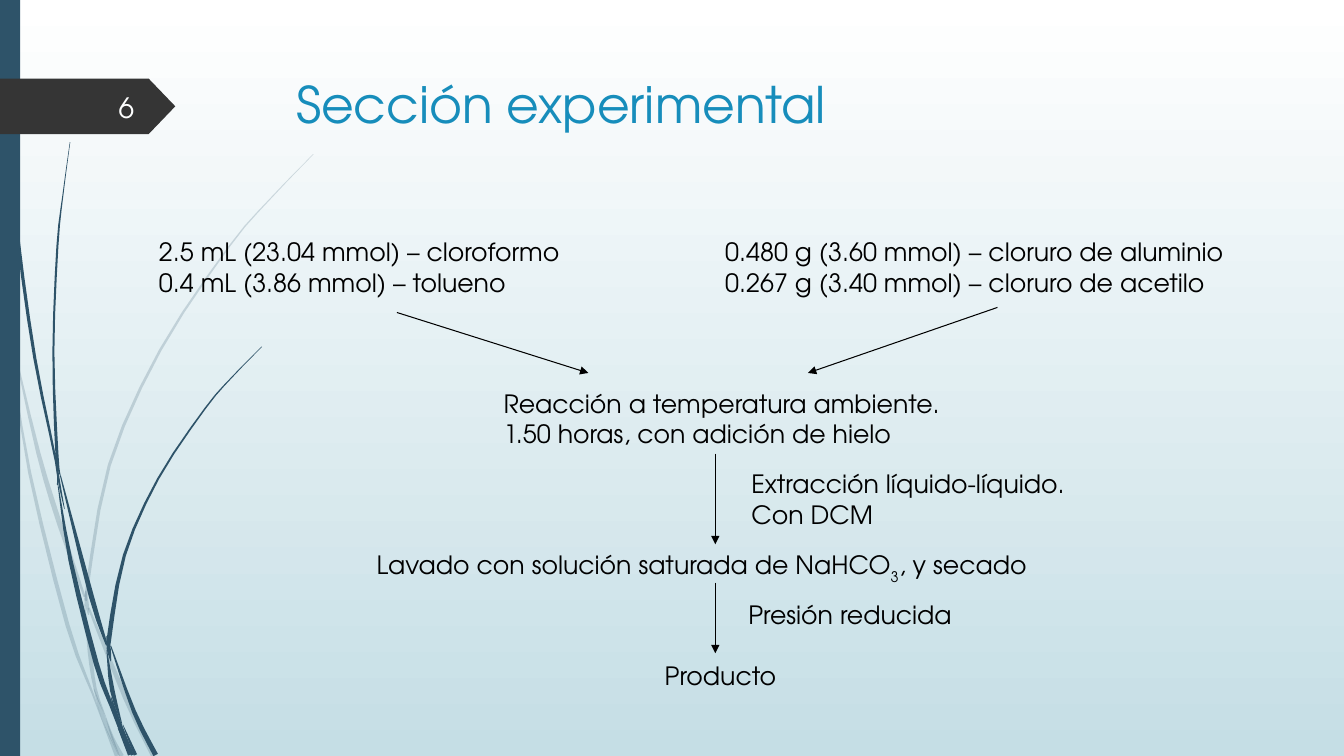
from dataclasses import dataclass
from math import hypot

from lxml.etree import SubElement
from pptx import Presentation
from pptx.dml.color import RGBColor as Rgb
from pptx.enum.shapes import MSO_CONNECTOR as Connector, MSO_SHAPE as Shape
from pptx.enum.text import MSO_ANCHOR as Anchor, PP_ALIGN as Align
from pptx.oxml.ns import qn
from pptx.util import Inches, Pt


@dataclass(frozen=True)
class Theme:
    font: str = "TeX Gyre Adventor"
    title_size: int = 36
    number_size: int = 20
    body_size: int = 18
    title: str = "178DBB"
    ink: str = "000000"
    number: str = "FEFFFF"
    tag: str = "353535"
    stem: str = "2E5369"
    sky_top: str = "FFFFFF"
    sky_bottom: str = "C5DEE5"
    arrow_width: float = 0.75


CELL = Inches(0.1)  # one column or row of the layout grid
COLUMNS, ROWS = 133.4, 75
SUBSCRIPT = -33000
FAINT = 20000
SMOOTHNESS = 3  # outline steps between two stations of a stem

# Stem pieces: stations along the centre line as (column, row, thickness)
FAINT_STEMS = [
    [(0.1, 28.5, 0.1), (0.55, 31.8, 0.3), (1.05, 35, 0.1)],
    [(1.4, 34.5, 0.1), (3.8, 44.9, 0.4), (5.95, 52.05, 0.5), (8.4, 59.2, 0.2)],
    [(8.8, 60.3, 0.2), (12.45, 69.2, 0.5), (15.25, 75, 0.5)],
    [(10.5, 71.1, 0.05), (11.2, 73.2, 0.25), (12.1, 75, 0.4)],
    [(1.1, 35, 0.05), (2.95, 46.9, 0.3), (6.7, 62, 0.4), (9.2, 68.8, 0.2),
     (10.1, 71.4, 0.05)],
    [(8.4, 59.9, 0.05), (8.9, 64.55, 0.4), (9.45, 68.3, 0.3), (10.5, 71.1, 0.05)],
    [(31.1, 15.3, 0.05), (26.8, 19.75, 0.1), (22.75, 24.45, 0.15),
     (15.9, 34.75, 0.25), (10.85, 46.15, 0.3), (8.65, 58.3, 0.3), (8.65, 59.5, 0.1)],
    [(10.1, 71.4, 0.05), (11.6, 75, 0.4)],
    [(8.5, 58.6, 0.1), (8.6, 59.8, 0.4), (8.8, 61, 0.1)],
    [(9.3, 68.3, 0.05), (10.3, 71.3, 0.4), (11.85, 75, 0.1)],
]
DARK_STEMS = [
    [(0.3, 0, 0.05), (0.75, 11, 0.1), (1.75, 23.3, 0.3), (3.45, 35.5, 0.3),
     (5.55, 45.8, 0.2), (5.7, 48.1, 0.1)],
    [(6, 47.2, 0.1), (9.05, 59.1, 0.5), (10.6, 64, 0.2)],
    [(11, 64.1, 0.1), (13.3, 70.6, 0.4), (15.45, 74.9, 0.5)],
    [(5.7, 47.7, 0.05), (7, 55.6, 0.4), (9.55, 65.8, 0.5), (11.05, 70, 0.35),
     (11.7, 72.1, 0.05)],
    [(6.95, 14.1, 0.05), (6.25, 19.3, 0.1), (5.7, 24.4, 0.2),
     (5.3, 34.9, 0.2), (5.65, 45, 0.3), (6, 47.2, 0.05)],
    [(12.2, 71.9, 0.05), (13.45, 74.9, 0.35)],
    [(5.5, 44.9, 0.05), (5.85, 47.7, 0.2), (6.4, 50.5, 0.05)],
    [(26, 34.4, 0.05), (23.1, 37.35, 0.1), (20.35, 40.55, 0.15),
     (15.7, 47.5, 0.2), (12.35, 55.1, 0.3), (10.85, 63.2, 0.45), (11, 64.1, 0.1)],
    [(11.7, 72.2, 0.05), (12.85, 74.9, 0.3)],
    [(10.6, 64.5, 0.05), (11.15, 68.5, 0.45), (12.1, 71.8, 0.05)],
    [(10.6, 63.1, 0.05), (10.8, 64.4, 0.4), (11, 65.6, 0.05)],
    [(11, 69.1, 0.05), (12, 72.3, 0.5), (13.15, 74.9, 0.3)],
]

# Text blocks: column, row, width, height, lines of (text, baseline) runs
PROCEDURE = [
    (14.8, 23, 44.7, 7, [[("2.5 mL (23.04 mmol) – cloroformo", 0)],
                         [("0.4 mL (3.86 mmol) – tolueno", 0)]]),
    (71, 23, 54.8, 7, [[("0.480 g (3.60 mmol) – cloruro de aluminio", 0)],
                       [("0.267 g (3.40 mmol) – cloruro de acetilo", 0)]]),
    (49, 38, 45.6, 7, [[("Reacción a temperatura ambiente.", 0)],
                       [("1.50 horas, con adición de hielo", 0)]]),
    (73.6, 46, 34.4, 7, [[("Extracción líquido-líquido.", 0)],
                         [("Con DCM", 0)]]),
    (36.4, 54, 70.6, 7.6, [[("Lavado con solución saturada de NaHCO", 0),
                            ("3", SUBSCRIPT), (", y secado", 0)]]),
    (73.3, 59, 22.7, 4, [[("Presión reducida", 0)]]),
    (65, 65, 13.4, 4, [[("Producto", 0)]]),
]
ARROWS = [
    (39.4, 31, 58.4, 37),
    (99, 30.5, 80.2, 37),
    (71, 45, 71, 54),
    (71, 57.8, 71, 64.8),
]


def cells(*counts):
    return [round(count * CELL) for count in counts]


def stem_outline(stations):
    """Smooth the centre line and offset it to both sides."""
    padded = [stations[0], *stations, stations[-1]]
    shares = [step / SMOOTHNESS for step in range(SMOOTHNESS + 1)]
    left, right = [], []
    for index, (a, b, c, d) in enumerate(
            zip(padded, padded[1:], padded[2:], padded[3:])):
        for t in shares[min(index, 1):]:
            weights = (-t + 2*t**2 - t**3, 2 - 5*t**2 + 3*t**3,
                       t + 4*t**2 - 3*t**3, t**3 - t**2)
            slopes = (-1 + 4*t - 3*t**2, -10*t + 9*t**2,
                      1 + 8*t - 9*t**2, 3*t**2 - 2*t)
            x, y, thickness = (sum(w * v for w, v in zip(weights, values)) / 2
                               for values in zip(a, b, c, d))
            dx, dy, _ = (sum(s * v for s, v in zip(slopes, values))
                         for values in zip(a, b, c, d))
            reach = thickness / 2 / hypot(dx, dy)
            left.append(cells(x - dy * reach, y + dx * reach))
            right.append(cells(x + dy * reach, y - dx * reach))
    return left + right[::-1]


class SlideBuilder:
    def __init__(self, slide, theme):
        self.slide, self.theme = slide, theme

    def background(self):
        fill = self.slide.background.fill
        fill.gradient()
        fill.gradient_angle = 270
        colors = (self.theme.sky_top, self.theme.sky_bottom)
        for stop, color in zip(fill.gradient_stops, colors):
            stop.color.rgb = Rgb.from_string(color)

    def paint(self, shape, color, alpha=None):
        shape.shadow.inherit = False
        shape.fill.solid()
        shape.fill.fore_color.rgb = Rgb.from_string(color)
        shape.line.fill.background()
        if alpha:
            solid = shape._element.spPr.find(qn("a:solidFill"))
            SubElement(solid[0], qn("a:alpha"), val=str(alpha))

    def stem(self, stations, alpha=None):
        start, *rest = stem_outline(stations)
        builder = self.slide.shapes.build_freeform(*start)
        builder.add_line_segments(rest, close=True)
        self.paint(builder.convert_to_shape(), self.theme.stem, alpha)

    def block(self, kind, box, color):
        shape = self.slide.shapes.add_shape(kind, *cells(*box))
        self.paint(shape, color)
        return shape

    def text(self, box, lines, size, color, align=Align.LEFT, anchor=Anchor.TOP):
        frame = self.slide.shapes.add_textbox(*cells(*box)).text_frame
        frame.word_wrap = True
        frame.vertical_anchor = anchor
        for index, line in enumerate(lines):
            paragraph = frame.add_paragraph() if index else frame.paragraphs[0]
            paragraph.alignment = align
            for words, baseline in line:
                run = paragraph.add_run()
                run.text = words
                run.font.name = self.theme.font
                run.font.size = Pt(size)
                run.font.color.rgb = Rgb.from_string(color)
                if baseline:
                    run._r.get_or_add_rPr().set("baseline", str(baseline))

    def arrow(self, ends):
        arrow = self.slide.shapes.add_connector(Connector.STRAIGHT, *cells(*ends))
        arrow.line.color.rgb = Rgb.from_string(self.theme.ink)
        arrow.line.width = Pt(self.theme.arrow_width)
        SubElement(arrow.line._get_or_add_ln(), qn("a:tailEnd"), type="triangle")
        SubElement(arrow._element.spPr, qn("a:effectLst"))


def main():
    theme = Theme()
    deck = Presentation()
    deck.slide_width, deck.slide_height = cells(COLUMNS, ROWS)
    page = SlideBuilder(deck.slides.add_slide(deck.slide_layouts[6]), theme)

    # Backdrop: gradient, stems and side bar
    page.background()
    for stations in FAINT_STEMS:
        page.stem(stations, FAINT)
    for stations in DARK_STEMS:
        page.stem(stations)
    page.block(Shape.RECTANGLE, (0, 0, 2, ROWS), theme.stem)

    # Page tag and title
    tag = page.block(Shape.PENTAGON, (0, 7.8, 17.4, 5.5), theme.tag)
    tag.adjustments[0] = 0.48
    page.text((28.4, 6.8, 97.5, 8), [[("Sección experimental", 0)]],
              theme.title_size, theme.title)
    page.text((5.8, 8.6, 8.5, 4), [[("6", 0)]], theme.number_size,
              theme.number, Align.RIGHT, Anchor.MIDDLE)

    # Procedure flow
    for *box, lines in PROCEDURE:
        page.text(box, lines, theme.body_size, theme.ink)
    for ends in ARROWS:
        page.arrow(ends)

    deck.save("out.pptx")


if __name__ == "__main__":
    main()
